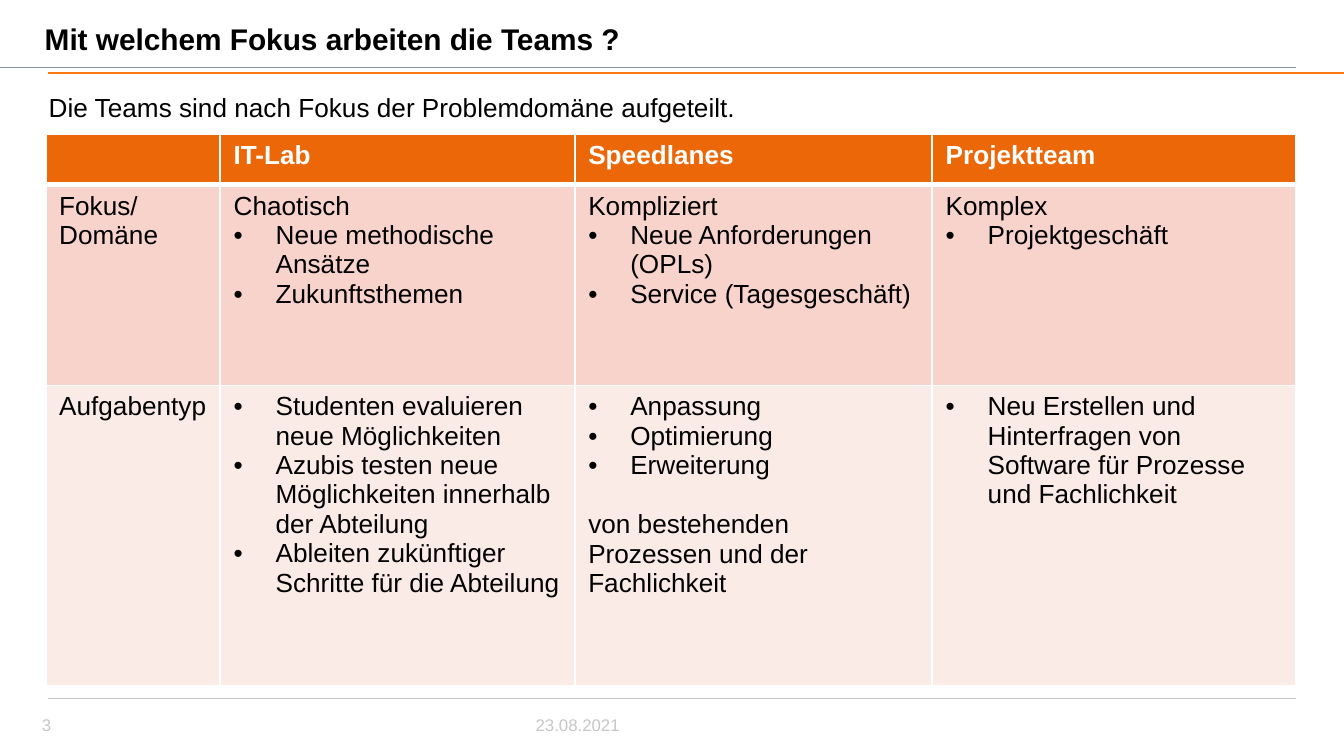
from lxml import etree
from pptx import Presentation
from pptx.dml.color import RGBColor
from pptx.enum.shapes import MSO_CONNECTOR
from pptx.enum.text import MSO_ANCHOR, PP_ALIGN
from pptx.oxml.ns import qn
from pptx.util import Pt

STRAIGHT = MSO_CONNECTOR.STRAIGHT
MIDDLE = MSO_ANCHOR.MIDDLE
LEFT, RIGHT = PP_ALIGN.LEFT, PP_ALIGN.RIGHT

FONT = "Arial"
BULLET = "• "
GAP = "| "
BULLET_INDENT = 22.5
COLORS = {
    "text": "000000",
    "white": "FFFFFF",
    "slate": "8597A5",
    "orange": "FD780F",
    "gray": "C6C6C6",
    "header": "EC6707",
    "focus": "F8D3CC",
    "task": "FBEBE7",
}
COLUMN_WIDTHS = [93.5, 190, 191.5, 195]
ROWS = [
    (27, "header", ["", "IT-Lab", "Speedlanes", "Projektteam"]),
    (107.5, "focus", [
        "Fokus/\nDomäne",
        "Chaotisch\n• Neue methodische Ansätze\n• Zukunftsthemen",
        "Kompliziert\n• Neue Anforderungen (OPLs)\n• Service (Tagesgeschäft)",
        "Komplex\n• Projektgeschäft",
    ]),
    (161, "task", [
        "Aufgabentyp",
        "• Studenten evaluieren neue Möglichkeiten\n"
        "• Azubis testen neue Möglichkeiten innerhalb der Abteilung\n"
        "• Ableiten zukünftiger Schritte für die Abteilung",
        "• Anpassung\n• Optimierung\n• Erweiterung\n"
        "| von bestehenden\nProzessen und der Fachlichkeit",
        "• Neu Erstellen und Hinterfragen von Software für Prozesse und Fachlichkeit",
    ]),
]


def style_font(paragraph, size, color, bold=False):
    """Set the font of a whole paragraph."""
    font = paragraph.font
    font.name, font.size, font.bold = FONT, Pt(size), bold
    font.color.rgb = RGBColor.from_string(COLORS[color])


def add_text(slide, box, text, size, color, bold=False, align=LEFT, wrap=True, inset=5):
    """Add a one-paragraph text box, centred vertically."""
    frame = slide.shapes.add_textbox(*map(Pt, box)).text_frame
    frame.word_wrap = wrap
    frame.vertical_anchor = MIDDLE
    frame.margin_left = frame.margin_right = Pt(inset)
    frame.margin_top = frame.margin_bottom = Pt(inset / 2)
    paragraph = frame.paragraphs[0]
    paragraph.text, paragraph.alignment = text, align
    style_font(paragraph, size, color, bold)


def add_rule(slide, left, right, top, color, weight):
    """Add a horizontal rule without shadow."""
    rule = slide.shapes.add_connector(STRAIGHT, Pt(left), Pt(top), Pt(right), Pt(top))
    rule.line.color.rgb = RGBColor.from_string(COLORS[color])
    rule.line.width = Pt(weight)
    etree.SubElement(rule.element.spPr, qn("a:effectLst"))


def add_bullet(paragraph):
    """Give a paragraph a hanging bullet."""
    properties = paragraph._p.get_or_add_pPr()
    properties.set("marL", str(Pt(BULLET_INDENT)))
    properties.set("indent", str(-Pt(BULLET_INDENT)))
    etree.SubElement(properties, qn("a:buFont"), typeface=FONT)
    etree.SubElement(properties, qn("a:buChar"), char=BULLET.strip())


def add_borders(cell, top, bottom):
    """Draw white borders around a cell."""
    properties = cell._tc.get_or_add_tcPr()
    for side, weight in (("L", 1), ("R", 1), ("T", top), ("B", bottom)):
        line = etree.SubElement(properties, qn(f"a:ln{side}"), w=str(Pt(weight)))
        fill = etree.SubElement(line, qn("a:solidFill"))
        etree.SubElement(fill, qn("a:srgbClr"), val=COLORS["white"])


def fill_cell(cell, text, is_header):
    """Write the lines of a cell, with bullets and gaps where marked."""
    cell.text = "\n".join(
        line.removeprefix(BULLET).removeprefix(GAP) for line in text.split("\n"))
    for paragraph, line in zip(cell.text_frame.paragraphs, text.split("\n")):
        style_font(paragraph, 14, "white" if is_header else "text", is_header)
        if line.startswith(GAP):
            paragraph.space_before = Pt(16)
        if line.startswith(BULLET):
            add_bullet(paragraph)


def add_header(slide, left, top, width):
    """Add the title, its two rules and the introduction."""
    add_text(slide, (left - 6.5, top + 8, width + 6.5, 25),
             "Mit welchem Fokus arbeiten die Teams ?", 16, "text", bold=True)
    add_rule(slide, 0, left + width, top + 36, "slate", 0.5)
    add_rule(slide, left, 720, top + 39, "orange", 1)
    add_text(slide, (left - 6.5, top + 45, 384, 24.5),
             "Die Teams sind nach Fokus der Problemdomäne aufgeteilt.",
             14, "text", wrap=False, inset=7.2)


def add_team_table(slide, left, top):
    """Add the table that compares the teams."""
    height = sum(row[0] for row in ROWS)
    table = slide.shapes.add_table(
        len(ROWS), len(COLUMN_WIDTHS), Pt(left), Pt(top),
        Pt(sum(COLUMN_WIDTHS)), Pt(height)).table
    for column, width in zip(table.columns, COLUMN_WIDTHS):
        column.width = Pt(width)
    for index, (row_height, color, texts) in enumerate(ROWS):
        table.rows[index].height = Pt(row_height)
        for cell, text in zip(table.rows[index].cells, texts):
            add_borders(cell, 3 if index == 1 else 1, 3 if index == 0 else 1)
            cell.fill.solid()
            cell.fill.fore_color.rgb = RGBColor.from_string(COLORS[color])
            fill_cell(cell, text, index == 0)


def add_footer(slide, left, top, width):
    """Add the footer rule, the page number and the date."""
    add_rule(slide, left, left + width, top, "gray", 0.5)
    add_text(slide, (left - 8, top + 6, 41, 17), "3", 9, "gray")
    add_text(slide, (left + 255.5, top + 6, 56, 17), "23.08.2021", 9, "gray",
             align=RIGHT, wrap=False)


def main():
    """Build and save the slide."""
    presentation = Presentation()
    presentation.slide_width, presentation.slide_height = Pt(720), Pt(405)
    slide = presentation.slides.add_slide(presentation.slide_layouts[6])
    add_header(slide, 25.5, 0, 669)
    add_team_table(slide, 24.5, 72)
    add_footer(slide, 25.5, 374, 669)
    presentation.save("out.pptx")


if __name__ == "__main__":
    main()
